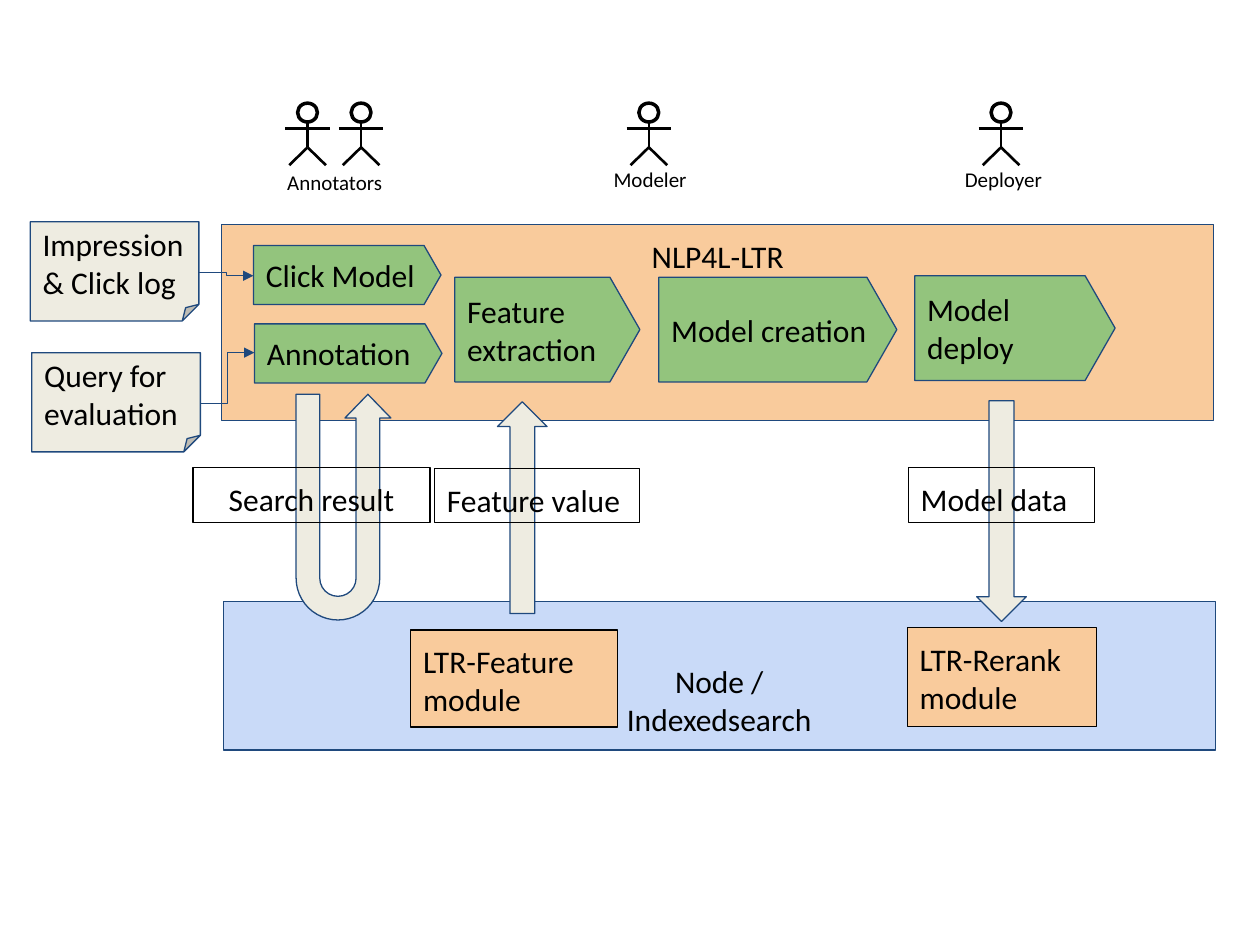
import dataclasses
import typing

import lxml.etree
import pptx
import pptx.dml.color
import pptx.enum.shapes
import pptx.enum.text
import pptx.oxml.ns
import pptx.util

Cm = pptx.util.Cm
Pt = pptx.util.Pt
Shape = pptx.enum.shapes.MSO_SHAPE
Connector = pptx.enum.shapes.MSO_CONNECTOR
Anchor = pptx.enum.text.MSO_ANCHOR
Align = pptx.enum.text.PP_ALIGN
qn = pptx.oxml.ns.qn

BLACK = "000000"
NAVY = "1F497D"
ORANGE = "F9CB9C"
GREEN = "93C47D"
BEIGE = "EEECE1"
BLUE = "C9DAF8"


@dataclasses.dataclass
class Block:
    kind: typing.Any
    left: float
    top: float
    width: float
    height: float
    text: str = ""
    fill: str = ""
    line: str = NAVY
    weight: float = 0.75
    anchor: typing.Any = Anchor.TOP
    align: typing.Any = Align.LEFT
    adjustments: tuple = ()
    upside_down: bool = False


@dataclasses.dataclass
class Role:
    name: str
    left: float
    top: float
    width: float
    centers: tuple


def color(value: str):
    return pptx.dml.color.RGBColor.from_string(value)


def write(frame, text: str, size: float, align=Align.LEFT) -> None:
    frame.text = text
    for paragraph in frame.paragraphs:
        paragraph.alignment = align
        for run in paragraph.runs:
            run.font.name = "Calibri"
            run.font.size = Pt(size)
            run.font.color.rgb = color(BLACK)


def draw_block(shapes, block: Block) -> None:
    shape = shapes.add_shape(block.kind, Cm(block.left), Cm(block.top),
                             Cm(block.width), Cm(block.height))
    shape.shadow.inherit = False
    for index, value in enumerate(block.adjustments):
        shape.adjustments[index] = value
    if block.fill:
        shape.fill.solid()
        shape.fill.fore_color.rgb = color(block.fill)
    else:
        shape.fill.background()
    shape.line.color.rgb = color(block.line)
    shape.line.width = Pt(block.weight)
    if block.upside_down:
        shape._element.spPr.find(qn("a:xfrm")).set("flipV", "1")
    if block.text:
        frame = shape.text_frame
        frame.word_wrap = True
        frame.vertical_anchor = block.anchor
        frame.margin_left = frame.margin_right = Cm(0.25)
        frame.margin_top = frame.margin_bottom = Cm(0.25)
        write(frame, block.text, 18, block.align)


def draw_line(shapes, start: tuple, end: tuple, line: str = BLACK,
              weight: float = 1.5, kind=Connector.STRAIGHT, arrow: bool = False) -> None:
    connector = shapes.add_connector(kind, Cm(start[0]), Cm(start[1]), Cm(end[0]), Cm(end[1]))
    connector.line.color.rgb = color(line)
    connector.line.width = Pt(weight)
    properties = connector._element.spPr
    if arrow:
        lxml.etree.SubElement(properties.find(qn("a:ln")), qn("a:tailEnd"), type="triangle")
    lxml.etree.SubElement(properties, qn("a:effectLst"))


def draw_person(shapes, center: float) -> None:
    group = shapes.add_group_shape().shapes
    draw_block(group, Block(Shape.OVAL, center - 0.2, 2.08, 0.4, 0.38, line=BLACK, weight=2))
    draw_line(group, (center - 0.45, 2.59), (center + 0.45, 2.59))
    draw_line(group, (center, 2.47), (center, 2.97))
    for side in (-1, 1):
        draw_line(group, (center, 2.97), (center + side * 0.37, 3.33))


def draw_role(shapes, role: Role) -> None:
    for center in role.centers:
        draw_person(shapes, center)
    caption = shapes.add_textbox(Cm(role.left), Cm(role.top), Cm(role.width), Cm(0.76))
    caption.text_frame.word_wrap = True
    write(caption.text_frame, role.name, 12)


def step(text: str, left: float, top: float, width: float, height: float) -> Block:
    return Block(Shape.PENTAGON, left, top, width, height, text, GREEN,
                 anchor=Anchor.MIDDLE, adjustments=(0.286,))


def note(text: str, left: float, top: float) -> Block:
    return Block(Shape.FOLDED_CORNER, left, top, 3.4, 2, text, BEIGE, anchor=Anchor.MIDDLE)


def label(text: str, left: float, top: float, width: float, height: float,
          fill: str = "", align=Align.LEFT) -> Block:
    return Block(Shape.RECTANGLE, left, top, width, height, text, fill, BLACK, align=align)


BLOCKS = [
    Block(Shape.RECTANGLE, 4.47, 4.52, 20, 3.96, "NLP4L-LTR", ORANGE, align=Align.CENTER),
    note("Query for evaluation", 0.64, 7.11),
    Block(Shape.RECTANGLE, 4.5, 12.12, 20, 3, "Node /\nIndexedsearch", BLUE,
          anchor=Anchor.BOTTOM, align=Align.CENTER),
    Block(Shape.DOWN_ARROW, 19.69, 8.08, 1, 4.45, fill=BEIGE),
    label("Model data", 18.31, 9.42, 3.76, 1.12),
    label("LTR-Rerank\nmodule", 18.29, 12.65, 3.81, 2, ORANGE),
    step("Annotation", 5.13, 6.53, 3.78, 1.19),
    Block(Shape.U_TURN_ARROW, 5.97, 7.95, 1.91, 4.55, fill=BEIGE,
          adjustments=(0.25, 0.242, 0.25, 0.442, 1), upside_down=True),
    label("Search result", 3.89, 9.42, 4.78, 1.12, align=Align.CENTER),
    label("LTR-Feature\nmodule", 8.28, 12.7, 4.17, 1.96, ORANGE),
    Block(Shape.UP_ARROW, 10.03, 8.1, 1, 4.27, fill=BEIGE),
    label("Feature value", 8.76, 9.45, 4.14, 1.09),
    step("Feature extraction", 9.17, 5.59, 3.73, 2.11),
    step("Model creation", 13.28, 5.59, 4.8, 2.11),
    step("Model deploy", 18.44, 5.56, 4.04, 2.11),
    step("Click Model", 5.11, 4.95, 3.78, 1.19),
    note("Impression & Click log", 0.61, 4.47),
]

ROLES = [
    Role("Annotators", 5.54, 3.3, 2.77, (6.2, 7.28)),
    Role("Modeler", 12.12, 3.23, 2.26, (13.08,)),
    Role("Deployer", 19.2, 3.23, 2.26, (20.18,)),
]

INPUT_FLOWS = [
    ((4.04, 8.13), (5.13, 7.11)),
    ((4.01, 5.49), (5.11, 5.56)),
]

presentation = pptx.Presentation()
presentation.slide_width = Cm(25.4)
presentation.slide_height = Cm(19.05)
slide = presentation.slides.add_slide(presentation.slide_layouts[6])

for block in BLOCKS:
    draw_block(slide.shapes, block)
for role in ROLES:
    draw_role(slide.shapes, role)
for start, end in INPUT_FLOWS:
    draw_line(slide.shapes, start, end, NAVY, 0.75, Connector.ELBOW, arrow=True)

presentation.save("out.pptx")
